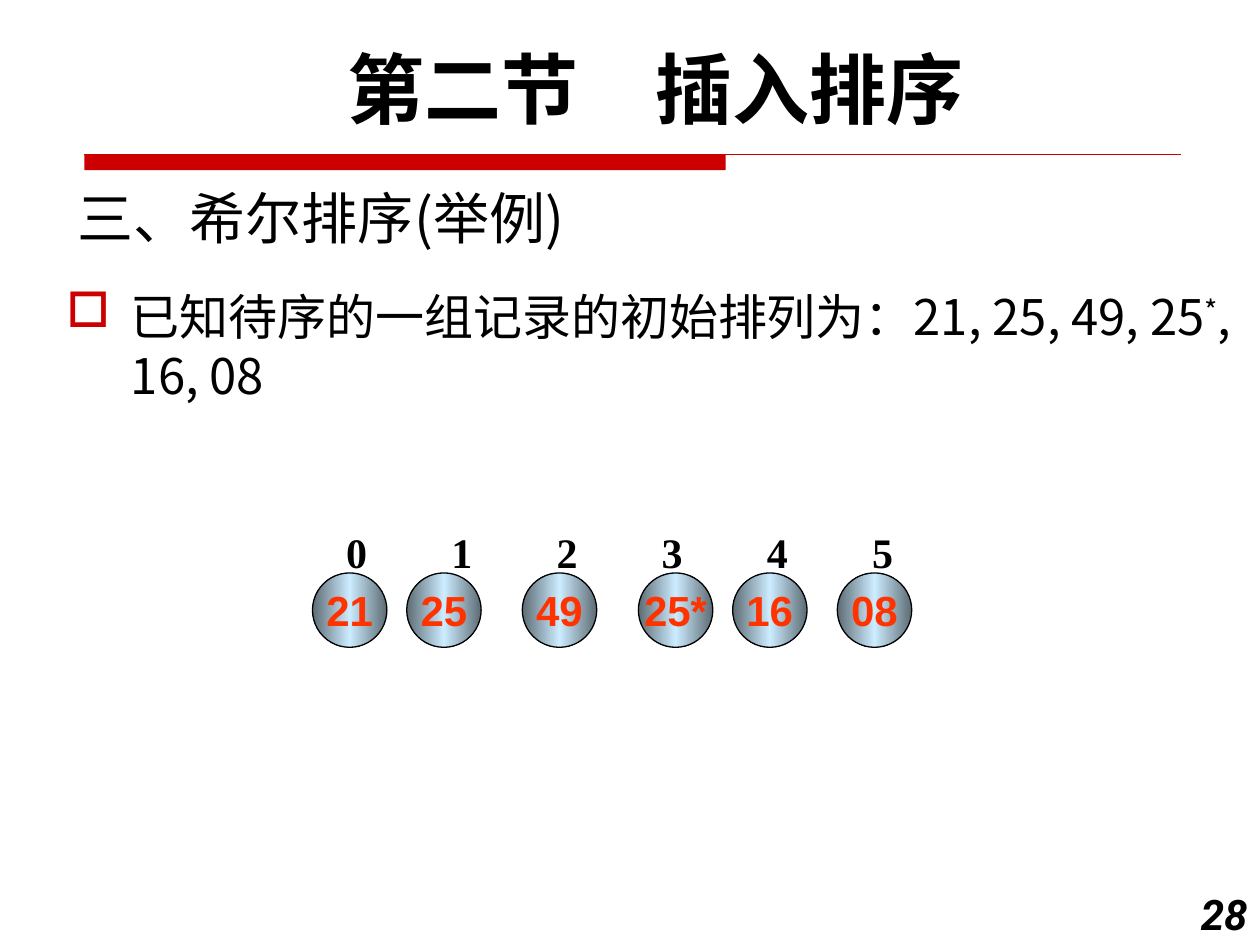
from copy import deepcopy
from dataclasses import dataclass

from lxml import etree
from pptx import Presentation
from pptx.dml.color import RGBColor
from pptx.enum.shapes import MSO_CONNECTOR, MSO_SHAPE
from pptx.enum.text import MSO_ANCHOR, PP_ALIGN
from pptx.oxml.ns import qn
from pptx.util import Cm, Pt

ELLIPSE, RECTANGLE = MSO_SHAPE.OVAL, MSO_SHAPE.RECTANGLE
STRAIGHT = MSO_CONNECTOR.STRAIGHT
TOP, MIDDLE, BOTTOM = MSO_ANCHOR.TOP, MSO_ANCHOR.MIDDLE, MSO_ANCHOR.BOTTOM
LEFT, CENTER, RIGHT = PP_ALIGN.LEFT, PP_ALIGN.CENTER, PP_ALIGN.RIGHT


@dataclass(frozen=True)
class Theme:
    ink: RGBColor = RGBColor(0x00, 0x00, 0x00)
    red: RGBColor = RGBColor(0xCC, 0x00, 0x00)
    key: RGBColor = RGBColor(0xFF, 0x33, 0x00)
    ball_edge: RGBColor = RGBColor(0x5D, 0x6C, 0x74)
    ball_core: RGBColor = RGBColor(0xCC, 0xEC, 0xFF)
    chinese: str = "Noto Sans CJK SC"
    display: str = "Roboto"
    index: str = "Times New Roman"
    record: str = "Arial"
    title_size: int = 44
    heading_size: int = 32
    body_size: int = 28
    label_size: int = 24
    line_width: float = 0.75


THEME = Theme()


def style_paragraph(paragraph, size, name, color=THEME.ink, bold=False, italic=False, align=LEFT):
    paragraph.alignment = align
    font = paragraph.font
    font.size, font.name = Pt(size), name
    font.bold, font.italic = bold, italic
    font.color.rgb = color
    defaults = paragraph._p.pPr.find(qn("a:defRPr"))
    etree.SubElement(defaults, qn("a:ea")).set("typeface", THEME.chinese)


def add_text_box(slide, box, anchor=TOP):
    frame = slide.shapes.add_textbox(*(Cm(length) for length in box)).text_frame
    frame.word_wrap = True
    frame.vertical_anchor = anchor
    return frame.paragraphs[0]


def add_title(slide, box):
    paragraph = add_text_box(slide, box)
    paragraph.text = "第二节　插入排序"
    style_paragraph(paragraph, THEME.title_size, THEME.display, bold=True, align=CENTER)


def add_title_rule(slide, box):
    left, top, width, height = box
    bar = slide.shapes.add_shape(RECTANGLE, Cm(left), Cm(top), Cm(width * 0.585), Cm(height))
    bar.shadow.inherit = False
    bar.fill.solid()
    bar.fill.fore_color.rgb = THEME.red
    bar.line.fill.background()
    rule = slide.shapes.add_connector(STRAIGHT, Cm(left), Cm(top), Cm(left + width), Cm(top))
    rule.line.color.rgb = THEME.red
    rule.line.width = Pt(THEME.line_width)
    etree.SubElement(rule._element.spPr, qn("a:effectLst"))


def add_heading(slide, box):
    paragraph = add_text_box(slide, box, BOTTOM)
    paragraph.text = "三、希尔排序(举例)"
    style_paragraph(paragraph, THEME.heading_size, THEME.chinese)


def add_body(slide, box):
    paragraph = add_text_box(slide, box)
    properties = paragraph._p.get_or_add_pPr()
    properties.set("marL", str(Cm(1.3)))
    properties.set("indent", str(-Cm(1.3)))
    bullet_color = etree.SubElement(properties, qn("a:buClr"))
    etree.SubElement(bullet_color, qn("a:srgbClr")).set("val", str(THEME.red))
    etree.SubElement(properties, qn("a:buChar")).set("char", "□")
    style_paragraph(paragraph, THEME.body_size, THEME.chinese)
    for text, baseline in (
        ("已知待序的一组记录的初始排列为：21, 25, 49, 25", 0),
        ("*", 30000),
        (", 16, 08", 0),
    ):
        run = paragraph.add_run()
        run.text = text
        if baseline:
            run._r.get_or_add_rPr().set("baseline", str(baseline))


def add_index_row(slide, box, count, pitch):
    paragraph = add_text_box(slide, box)
    tabs = etree.SubElement(paragraph._p.get_or_add_pPr(), qn("a:tabLst"))
    for column in range(1, count):
        tab = etree.SubElement(tabs, qn("a:tab"))
        tab.set("pos", str(Cm(column * pitch)))
        tab.set("algn", "l")
    paragraph.text = "\t".join(str(column) for column in range(count))
    style_paragraph(paragraph, THEME.label_size, THEME.index, bold=True)


def fill_ball(fill):
    fill.gradient()
    fill.gradient_angle = 0
    stop_list = fill._fill._gradFill.find(qn("a:gsLst"))
    stop_list.insert(1, deepcopy(stop_list[0]))
    colors = (THEME.ball_edge, THEME.ball_core, THEME.ball_edge)
    for stop, position, color in zip(fill.gradient_stops, (0, 0.5, 1), colors):
        stop.position = position
        stop.color.rgb = color


def add_record(slide, left, top, diameter, text):
    ball = slide.shapes.add_shape(ELLIPSE, Cm(left), Cm(top), Cm(diameter), Cm(diameter))
    ball.shadow.inherit = False
    fill_ball(ball.fill)
    ball.line.color.rgb = THEME.ink
    ball.line.width = Pt(THEME.line_width)
    frame = ball.text_frame
    frame.word_wrap = False
    frame.vertical_anchor = MIDDLE
    paragraph = frame.paragraphs[0]
    paragraph.text = text
    style_paragraph(paragraph, THEME.label_size, THEME.record, THEME.key, bold=True, align=CENTER)


def add_record_diagram(slide, box):
    left, top, width, height = box
    diameter = 1.5
    records = (
        ("21", 0), ("25", 1.9), ("49", 4.23), ("25*", 6.57), ("16", 8.47), ("08", 10.58),
    )
    add_index_row(slide, (left + 0.43, top, width - 0.43, 1.27), len(records), 2.12)
    for text, offset in records:
        add_record(slide, left + offset, top + height - diameter, diameter, text)


def add_page_number(slide, box):
    paragraph = add_text_box(slide, box)
    paragraph.text = "28"
    style_paragraph(
        paragraph, THEME.label_size, THEME.display, bold=True, italic=True, align=RIGHT
    )


def main():
    presentation = Presentation()
    presentation.slide_width, presentation.slide_height = Cm(25.4), Cm(19.05)
    slide = presentation.slides.add_slide(presentation.slide_layouts[6])
    add_title_rule(slide, (1.7, 3.12, 22.1, 0.31))
    add_heading(slide, (1.32, 3.33, 15.88, 1.85))
    add_page_number(slide, (23.7, 17.78, 1.7, 1.27))
    add_body(slide, (1.09, 5.66, 24.33, 2.87))
    add_record_diagram(slide, (6.3, 10.49, 12.8, 2.56))
    add_title(slide, (1.47, 0.71, 23.5, 2.13))
    presentation.save("out.pptx")


if __name__ == "__main__":
    main()
